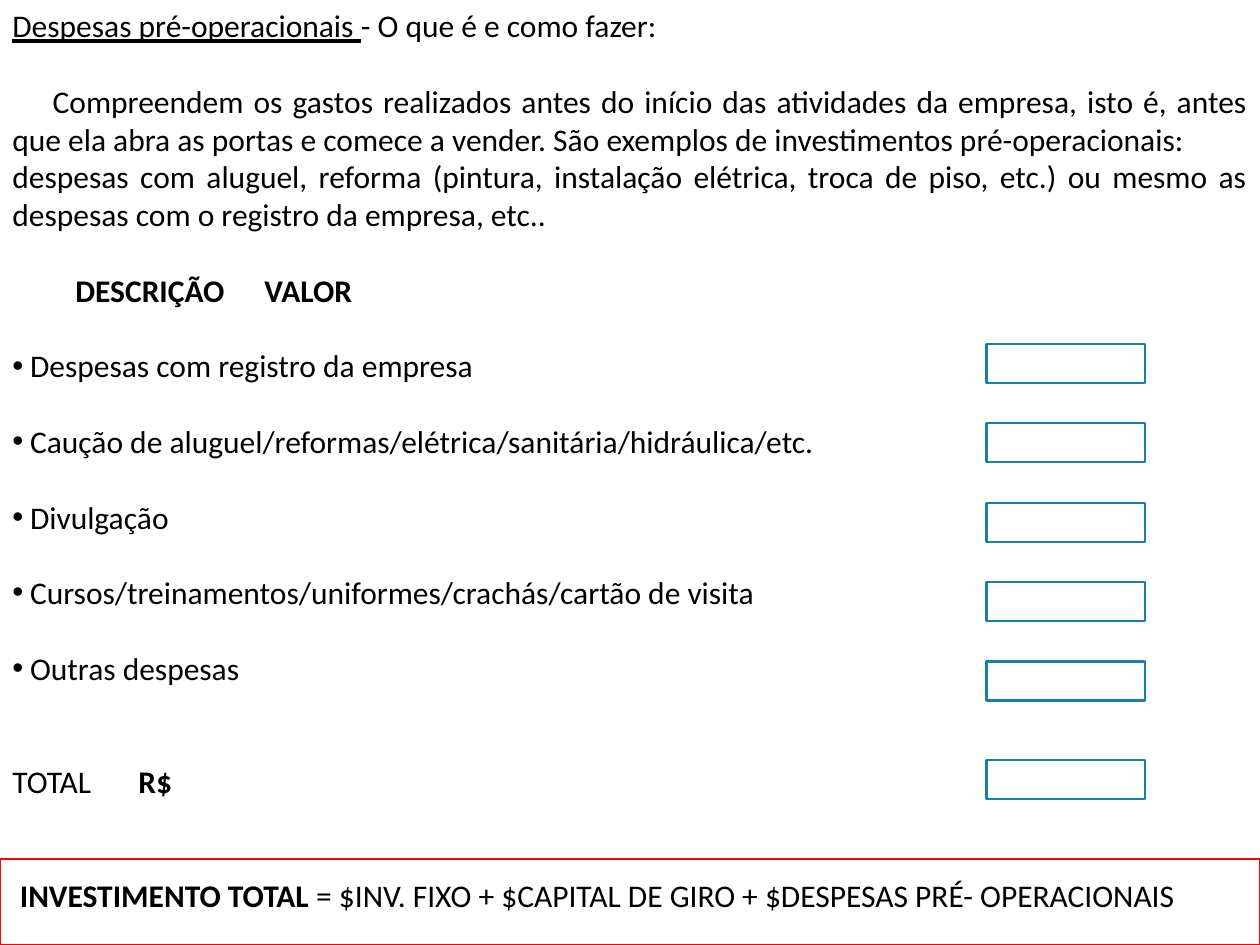
"""Build the slide on pre-operating expenses and total investment."""
from lxml.etree import SubElement
from pptx import Presentation
from pptx.dml.color import RGBColor
from pptx.enum.shapes import MSO_SHAPE as Shape
from pptx.enum.text import MSO_AUTO_SIZE as AutoSize, PP_ALIGN as Align
from pptx.oxml.ns import qn
from pptx.util import Pt

PX = 9144
BLACK = RGBColor(0x00, 0x00, 0x00)
BLUE = RGBColor(0x15, 0x80, 0xA9)
RED = RGBColor(0xFF, 0x00, 0x00)
FONT = {"name": "Calibri", "size": Pt(18)}
LINE = 21.6


def add_paragraph(frame, runs, lines_before=1, margin=0, indent=0, align=Align.LEFT, bullet=False, tabs=()):
    first = not frame.paragraphs[0].runs
    paragraph = frame.paragraphs[0] if first else frame.add_paragraph()
    properties = paragraph._p.get_or_add_pPr()
    properties.set("marL", str(margin * PX))
    properties.set("indent", str(indent * PX))
    if bullet:
        SubElement(properties, qn("a:buFont"), typeface="Arial")
        SubElement(properties, qn("a:buChar"), char="•")
    else:
        SubElement(properties, qn("a:buNone"))
    if tabs:
        tab_list = SubElement(properties, qn("a:tabLst"))
        for position in tabs:
            SubElement(tab_list, qn("a:tab"), pos=str(position * PX), algn="l")
    paragraph.alignment = align
    paragraph.space_before = Pt(0 if first else lines_before * LINE)
    for text, style in runs:
        run = paragraph.add_run()
        run.text = text
        for name, value in {**FONT, **style}.items():
            setattr(run.font, name, value)
        run.font.color.rgb = BLACK


def add_frame(left, top, width, height, color):
    shape = slide.shapes.add_shape(Shape.RECTANGLE, left * PX, top * PX, width * PX, height * PX)
    shape.shadow.inherit = False
    shape.fill.background()
    shape.line.color.rgb = color
    shape.line.width = Pt(1.25)


presentation = Presentation()
presentation.slide_width = 1000 * PX
presentation.slide_height = 750 * PX
slide = presentation.slides.add_slide(presentation.slide_layouts[6])

text_box = slide.shapes.add_textbox(0, 0, 1000 * PX, 767 * PX)
frame = text_box.text_frame
frame.word_wrap = True
frame.auto_size = AutoSize.SHAPE_TO_FIT_TEXT

BOLD = {"bold": True}
add_paragraph(frame, [("Despesas pré-operacionais ", {"underline": True}), ("- O que é e como fazer:", {})])
add_paragraph(
    frame,
    [("Compreendem os gastos realizados antes do início das atividades da empresa, isto é, antes que ela "
      "abra as portas e comece a vender. São exemplos de investimentos pré-operacionais:", {})],
    indent=32, align=Align.JUSTIFY)
add_paragraph(
    frame,
    [("despesas com aluguel, reforma (pintura, instalação elétrica, troca de piso, etc.) ou mesmo as "
      "despesas com o registro da empresa, etc..", {})],
    lines_before=0, align=Align.JUSTIFY)
add_paragraph(frame, [("\tDESCRIÇÃO\tVALOR", BOLD)], tabs=(17, 693))

expenses = [
    "Despesas com registro da empresa",
    "Caução de aluguel/reformas/elétrica/sanitária/hidráulica/etc.",
    "Divulgação",
    "Cursos/treinamentos/uniformes/crachás/cartão de visita",
    "Outras despesas",
]
for row, expense in enumerate(expenses):
    add_paragraph(frame, [(expense, {})], margin=14, indent=-14, bullet=True)
    add_frame(783, 273 + 63 * row, 126, 31, BLUE)

add_paragraph(frame, [("TOTAL\t", {}), ("R$", BOLD)], lines_before=2, tabs=(616,))
add_frame(783, 603, 126, 31, BLUE)

add_paragraph(
    frame,
    [("INVESTIMENTO TOTAL ", BOLD), ("= $INV. FIXO + $CAPITAL DE GIRO + $DESPESAS PRÉ- OPERACIONAIS", {})],
    lines_before=2, indent=6)
add_frame(0, 682, 1000, 68, RED)

presentation.save("out.pptx")
